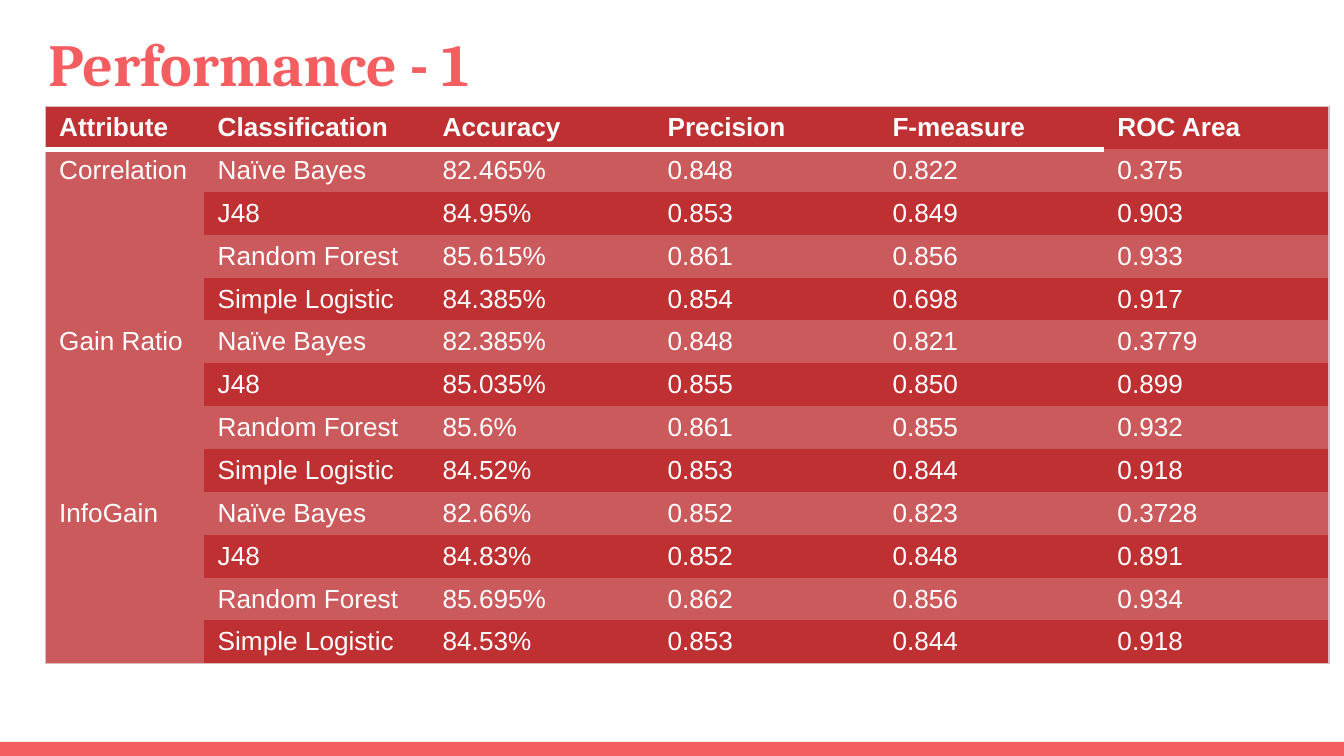
from lxml import etree
from pptx import Presentation
from pptx import util as u
from pptx.dml.color import RGBColor
from pptx.enum import shapes, text
from pptx.oxml import ns

CORAL, RED, ROSE, WHITE, EDGE = "F55E61", "BE3032", "CB5A5C", "FFFFFF", "D8BBBC"
PLAIN_TABLE = "{2D5ABB26-0587-4C30-8999-92F81FD0307C}"
HEADERS = ["Attribute", "Classification", "Accuracy", "Precision", "F-measure", "ROC Area"]
CLASSIFIERS = ["Naïve Bayes", "J48", "Random Forest", "Simple Logistic"]
RESULTS = {
    "Correlation": [
        ("82.465%", "0.848", "0.822", "0.375"),
        ("84.95%", "0.853", "0.849", "0.903"),
        ("85.615%", "0.861", "0.856", "0.933"),
        ("84.385%", "0.854", "0.698", "0.917"),
    ],
    "Gain Ratio": [
        ("82.385%", "0.848", "0.821", "0.3779"),
        ("85.035%", "0.855", "0.850", "0.899"),
        ("85.6%", "0.861", "0.855", "0.932"),
        ("84.52%", "0.853", "0.844", "0.918"),
    ],
    "InfoGain": [
        ("82.66%", "0.852", "0.823", "0.3728"),
        ("84.83%", "0.852", "0.848", "0.891"),
        ("85.695%", "0.862", "0.856", "0.934"),
        ("84.53%", "0.853", "0.844", "0.918"),
    ],
}


def color(value):
    return RGBColor.from_string(value)


class SlideBuilder:
    """Holds the text style and the current slide, and adds its elements."""

    def __init__(self, slide, title_font="Cambria", body_font="Arial"):
        self.slide = slide
        self.title_font = title_font
        self.body_font = body_font

    def style(self, paragraph, name, size, hex_color, bold):
        font = paragraph.font
        font.name, font.size, font.bold = name, u.Pt(size), bold
        font.color.rgb = color(hex_color)

    def bar(self, left, top, width, height, fill):
        shape = self.slide.shapes.add_shape(
            shapes.MSO_SHAPE.RECTANGLE, *map(u.Inches, (left, top, width, height)))
        shape.shadow.inherit = False
        shape.fill.solid()
        shape.fill.fore_color.rgb = color(fill)
        shape.line.fill.background()

    def title(self, words, left, top, width, height):
        shape = self.slide.shapes.title
        shape.left, shape.top, shape.width, shape.height = map(
            u.Inches, (left, top, width, height))
        frame = shape.text_frame
        frame.text = words
        frame.auto_size = text.MSO_AUTO_SIZE.NONE
        frame.vertical_anchor = text.MSO_ANCHOR.TOP
        frame.margin_left = frame.margin_right = u.Inches(0.1)
        frame.margin_top = frame.margin_bottom = u.Inches(0.1)
        paragraph = frame.paragraphs[0]
        paragraph.alignment = text.PP_ALIGN.LEFT
        paragraph.line_spacing = 1.0
        self.style(paragraph, self.title_font, 32, CORAL, True)

    def border(self, cell, side, hex_color, width):
        properties = cell._tc.get_or_add_tcPr()
        line = etree.SubElement(properties, ns.qn(f"a:ln{side}"), w=str(u.Pt(width)))
        fill = etree.SubElement(line, ns.qn("a:solidFill"))
        etree.SubElement(fill, ns.qn("a:srgbClr"), val=hex_color)

    def cell(self, cell, words, fill, bold, borders):
        for side, (hex_color, width) in borders.items():
            self.border(cell, side, hex_color, width)
        cell.fill.solid()
        cell.fill.fore_color.rgb = color(fill)
        if not cell.is_spanned:
            cell.text = words
        self.style(cell.text_frame.paragraphs[0], self.body_font, 14, WHITE, bold)

    def table(self, rows, group_size, left, top, width, height, first_width, row_height):
        row_count, column_count = len(rows), len(rows[0])
        last_column = column_count - 1
        frame = self.slide.shapes.add_table(
            row_count, column_count, *map(u.Inches, (left, top, width, height)))
        table = frame.table
        table.first_row = table.horz_banding = False
        table._tbl.tblPr.find(ns.qn("a:tableStyleId")).text = PLAIN_TABLE
        other_width = (width - first_width) / last_column
        for c, column in enumerate(table.columns):
            column.width = u.Inches(first_width if c == 0 else other_width)
        for start in range(1, row_count, group_size):
            table.cell(start, 0).merge(table.cell(start + group_size - 1, 0))
        for r, row in enumerate(rows):
            table.rows[r].height = u.Inches(row_height)
            for c, words in enumerate(row):
                cell = table.cell(r, c)
                borders = {}
                if c == 0:
                    borders["L"] = (EDGE, 0.75)
                if c == last_column:
                    borders["R"] = (EDGE, 0.75)
                if r == 0:
                    borders["T"] = (EDGE, 0.75)
                if r == 0 and c < last_column:
                    borders["B"] = (WHITE, 3)
                if r + cell.span_height == row_count:
                    borders["B"] = (EDGE, 0.75)
                light = r > 0 and (c == 0 or r % 2 == 1)
                self.cell(cell, words, ROSE if light else RED, r == 0, borders)
        frame.height = u.Inches(height)


def main():
    presentation = Presentation()
    presentation.slide_width = u.Inches(10)
    presentation.slide_height = presentation.slide_width * 9 // 16
    builder = SlideBuilder(presentation.slides.add_slide(presentation.slide_layouts[5]))
    rows = [HEADERS]
    for attribute, scores in RESULTS.items():
        for i, (classifier, values) in enumerate(zip(CLASSIFIERS, scores)):
            rows.append([attribute if i == 0 else "", classifier, *values])
    builder.bar(0, 5.52, 10, 0.11, CORAL)
    builder.title("Performance - 1", 0.26, 0.1, 9.32, 0.68)
    builder.table(rows, len(CLASSIFIERS), 0.34, 0.79, 9.55, 4.33, 1.18, 0.31)
    presentation.save("out.pptx")


if __name__ == "__main__":
    main()
